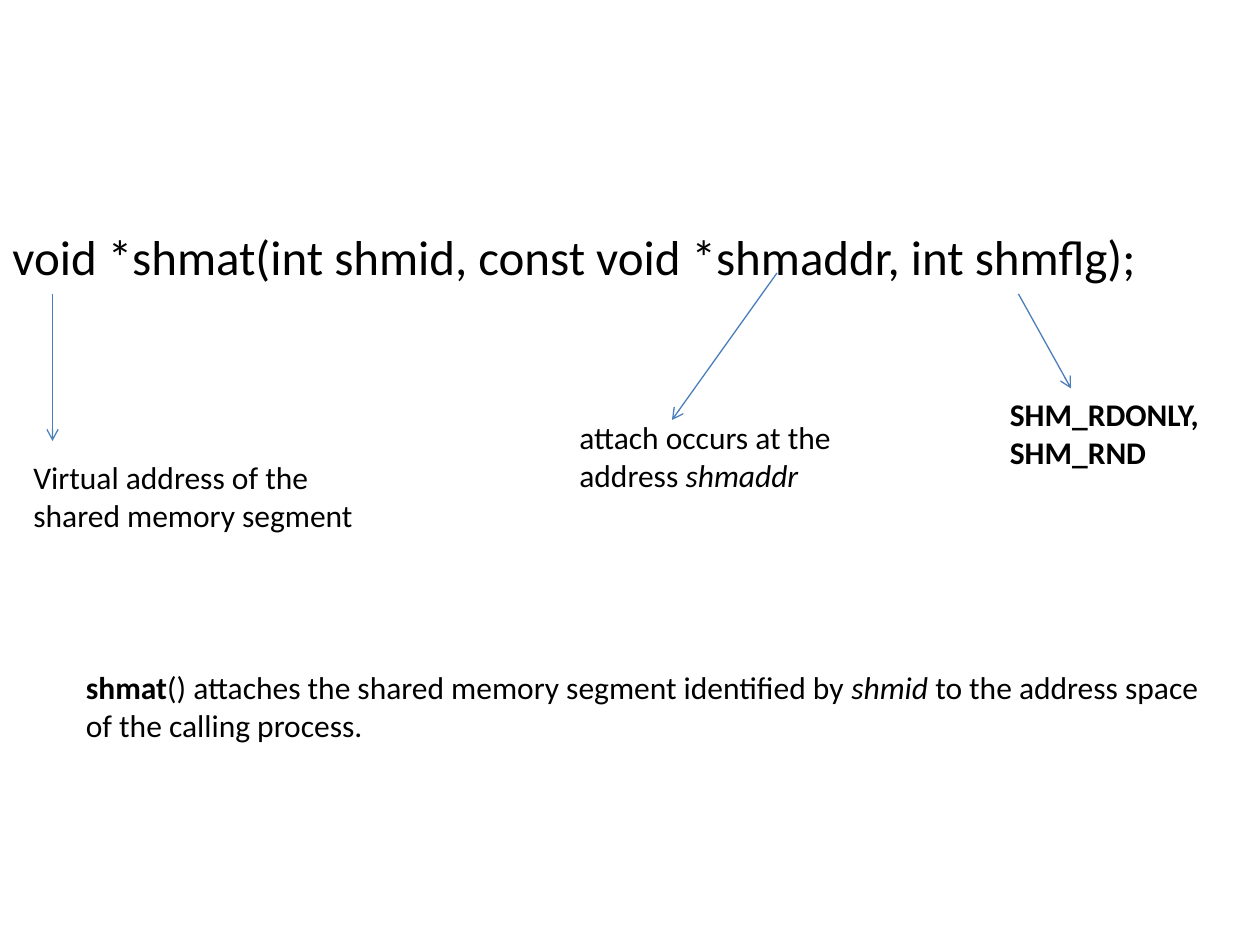
"""Build a slide that explains the parameters of shmat()."""
from lxml import etree
from pptx import Presentation
from pptx.dml.color import RGBColor
from pptx.enum import shapes, text
from pptx.oxml import ns
from pptx.util import Pt

BLACK = RGBColor(0x00, 0x00, 0x00)
BLUE = RGBColor(0x4B, 0x7E, 0xBC)
FONT = "Calibri"
PLAIN, BOLD, ITALIC = (False, False), (True, False), (False, True)

NOTES = [
    ((0, 126, 738, 356.4), 28,
     [[("void *shmat(int shmid, const void *shmaddr, int shmflg);", PLAIN)]]),
    ((12, 258, 198, 51), 18,
     [[("Virtual address of the shared memory segment", PLAIN)]]),
    ((42, 378, 666, 51), 18,
     [[("shmat", BOLD),
       ("() attaches the shared memory segment identified by ", PLAIN),
       ("shmid", ITALIC),
       (" to the address space of the calling process.", PLAIN)]]),
    ((570, 222, 138, 51), 18,
     [[("SHM_RDONLY,", BOLD)], [("SHM_RND", BOLD)]]),
    ((324, 235.2, 162, 51), 18,
     [[("attach occurs at the address ", PLAIN), ("shmaddr", ITALIC)]]),
]
ARROWS = [
    (444, 156, 384, 240),
    (30, 168, 30, 252),
    (582, 168, 612, 222),
]


def add_note(slide, place, size, lines):
    frame = slide.shapes.add_textbox(*map(Pt, place)).text_frame
    frame.word_wrap = True
    frame.vertical_anchor = text.MSO_ANCHOR.TOP
    for index, line in enumerate(lines):
        paragraph = frame.add_paragraph() if index else frame.paragraphs[0]
        for words, (bold, italic) in line:
            run = paragraph.add_run()
            run.text = words
            run.font.name = FONT
            run.font.size = Pt(size)
            run.font.bold = bold
            run.font.italic = italic
            run.font.color.rgb = BLACK


def add_arrow(slide, ends):
    arrow = slide.shapes.add_connector(
        shapes.MSO_CONNECTOR.STRAIGHT, *map(Pt, ends))
    arrow.line.color.rgb = BLUE
    arrow.line.width = Pt(0.75)
    etree.SubElement(arrow.line._get_or_add_ln(), ns.qn("a:tailEnd"), type="arrow")
    etree.SubElement(arrow._element.spPr, ns.qn("a:effectLst"))


def main():
    deck = Presentation()
    deck.slide_width, deck.slide_height = Pt(720), Pt(540)
    slide = deck.slides.add_slide(deck.slide_layouts[6])
    for note in NOTES:
        add_note(slide, *note)
    for ends in ARROWS:
        add_arrow(slide, ends)
    deck.save("out.pptx")


if __name__ == "__main__":
    main()
